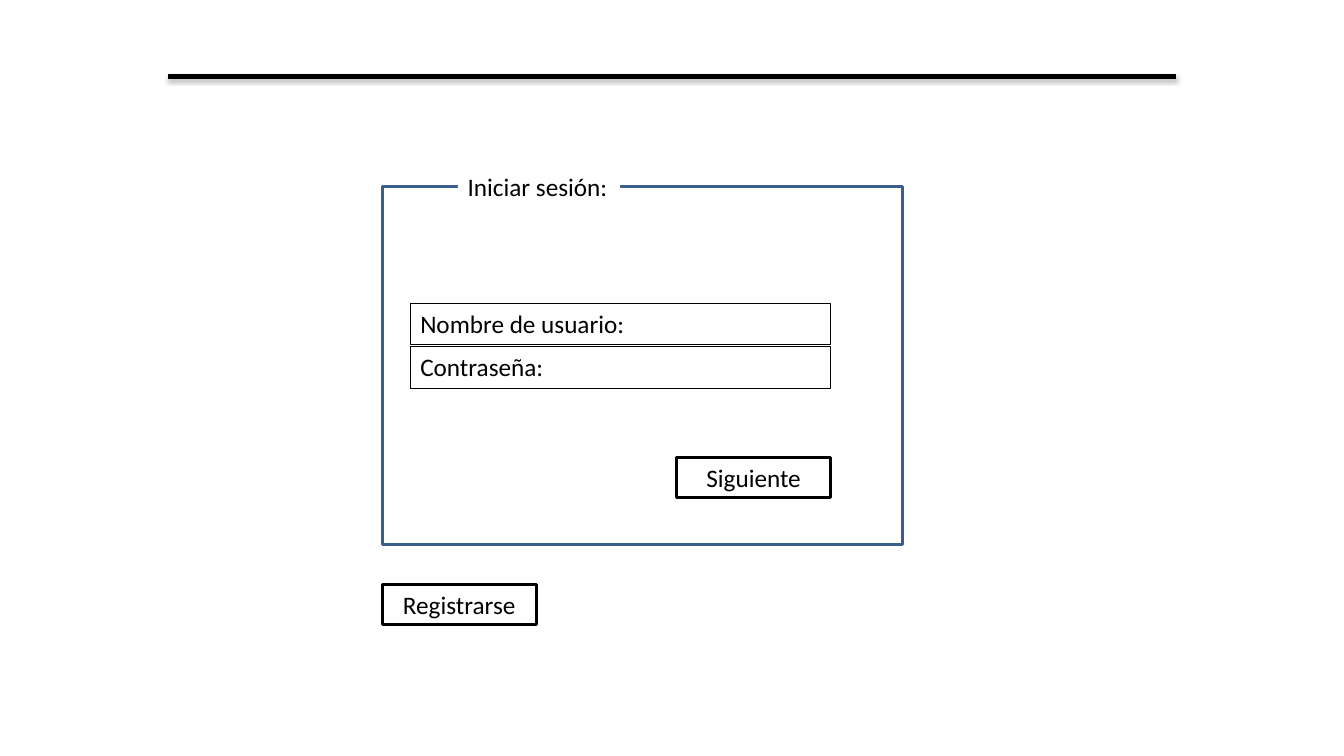
import pptx
import pptx.util
import pptx.dml.color
import pptx.enum.shapes
import pptx.enum.text
import pptx.oxml
from pptx.util import Inches

COLORS = {"ink": "000000", "paper": "FFFFFF", "frame": "3A5F8C"}
SHADE = (
    '<a:effectLst xmlns:a="http://schemas.openxmlformats.org/drawingml/2006/main">'
    '<a:outerShdw blurRad="40000" dist="23000" dir="5400000" rotWithShape="0">'
    '<a:srgbClr val="000000"><a:alpha val="35000"/></a:srgbClr>'
    '</a:outerShdw></a:effectLst>'
)
ALIGN = pptx.enum.text.PP_ALIGN


def tint(name):
    """Return the named colour."""
    return pptx.dml.color.RGBColor.from_string(COLORS[name])


def box(slide, left, top, width, height, text="", line=None, weight=2,
        fill="paper", align=ALIGN.LEFT):
    """Draw a rectangle with optional fill, outline and text."""
    shape = slide.shapes.add_shape(
        pptx.enum.shapes.MSO_SHAPE.RECTANGLE,
        Inches(left), Inches(top), Inches(width), Inches(height))
    shape.shadow.inherit = False
    if fill:
        shape.fill.solid()
        shape.fill.fore_color.rgb = tint(fill)
    else:
        shape.fill.background()
    if line:
        shape.line.color.rgb = tint(line)
        shape.line.width = pptx.util.Pt(weight)
    else:
        shape.line.fill.background()
    if text:
        frame = shape.text_frame
        frame.word_wrap = True
        frame.vertical_anchor = pptx.enum.text.MSO_ANCHOR.TOP
        frame.text = text
        para = frame.paragraphs[0]
        para.alignment = align
        font = para.runs[0].font
        font.name = "Calibri"
        font.size = pptx.util.Pt(18)
        font.color.rgb = tint("ink")


def button(slide, left, top, text):
    """Draw a button with a centred label."""
    box(slide, left, top, 1.53, 0.4, text, "ink", align=ALIGN.CENTER)


def header(slide, left, top, width):
    """Draw the shaded rule at the top."""
    rule = slide.shapes.add_connector(
        pptx.enum.shapes.MSO_CONNECTOR.STRAIGHT,
        Inches(left), Inches(top), Inches(left + width), Inches(top))
    rule.line.color.rgb = tint("ink")
    rule.line.width = pptx.util.Pt(3)
    rule._element.spPr.append(pptx.oxml.parse_xml(SHADE))


def login(slide, left, top, width, height):
    """Draw the login form with its title, fields and button."""
    box(slide, left, top, width, height, line="frame", fill=None)
    box(slide, left + 0.75, top - 0.2, 1.61, 0.4, "Iniciar sesión:")
    for row, text in enumerate(("Nombre de usuario:", "Contraseña:")):
        box(slide, left + 0.28, top + 1.16 + row * 0.43, 4.17, 0.41,
            text, "ink", 0.75)
    button(slide, left + 2.92, top + 2.69, "Siguiente")


def main():
    """Build and save the slide."""
    deck = pptx.Presentation()
    deck.slide_width = Inches(13.33)
    deck.slide_height = Inches(7.5)
    slide = deck.slides.add_slide(deck.slide_layouts[6])
    header(slide, 1.67, 0.76, 9.99)
    login(slide, 3.79, 1.85, 5.16, 3.55)
    button(slide, 3.79, 5.8, "Registrarse")
    deck.save("out.pptx")


if __name__ == "__main__":
    main()
